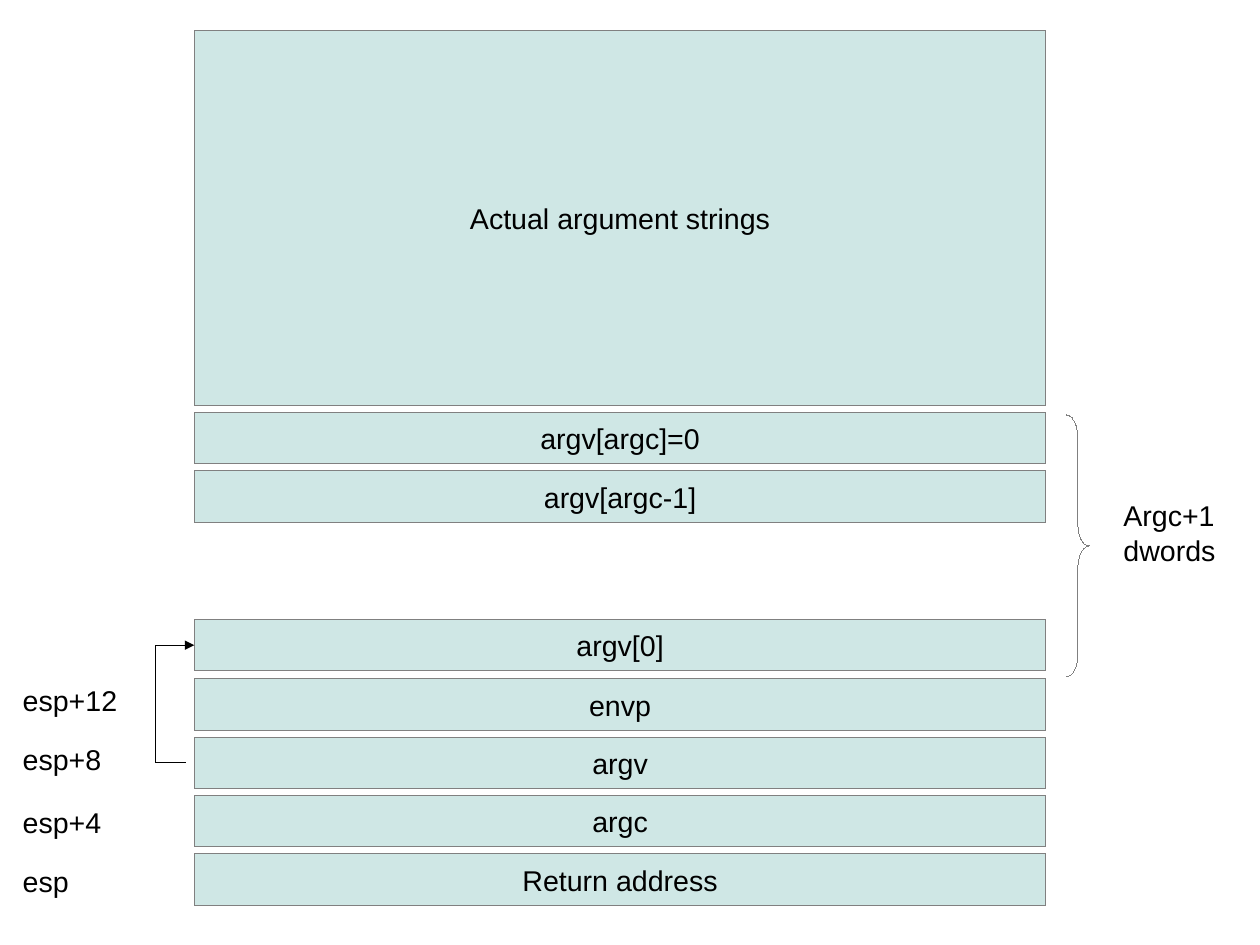
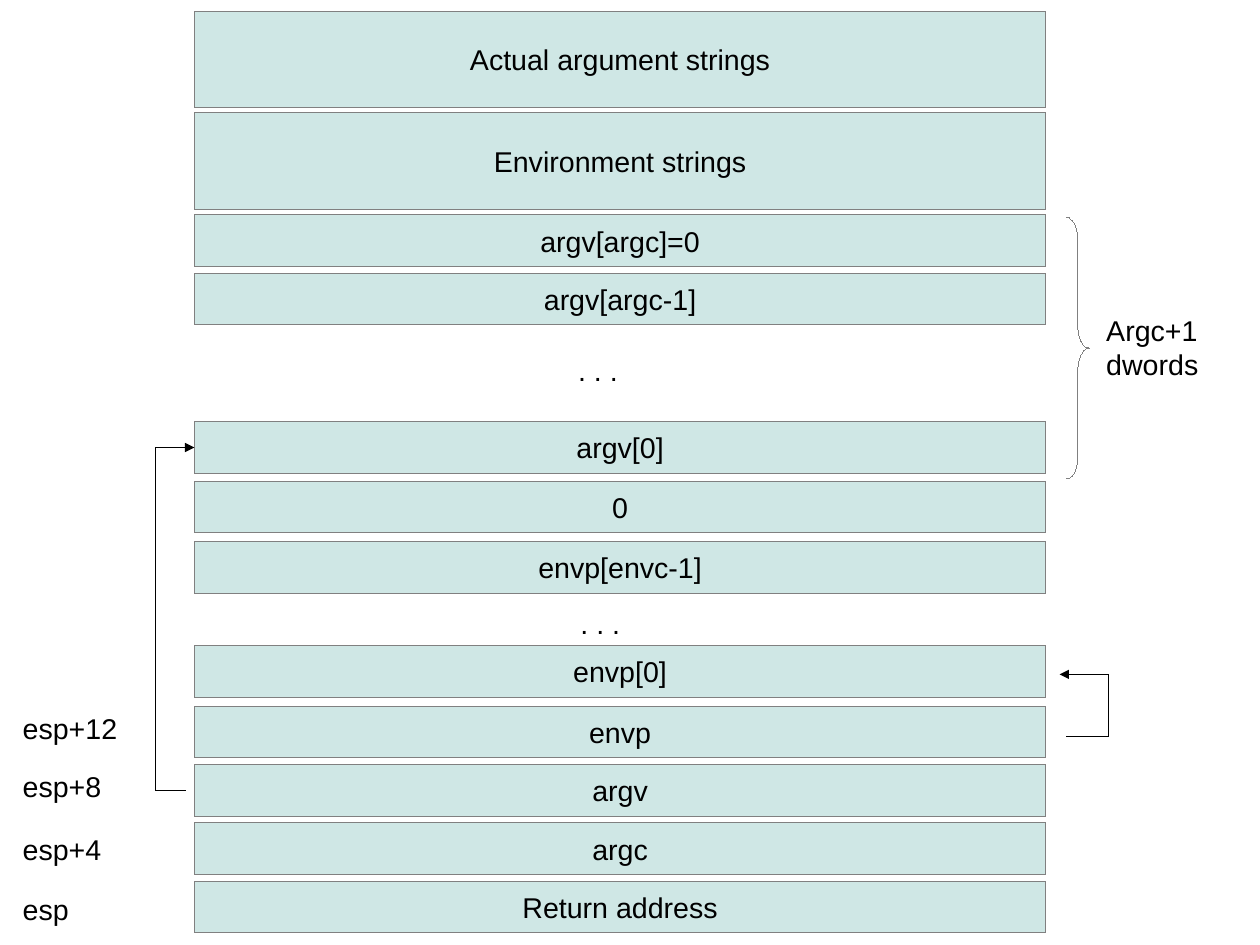
from lxml import etree
from pptx import Presentation
from pptx.dml.color import RGBColor
from pptx.enum.shapes import MSO_CONNECTOR, MSO_SHAPE
from pptx.enum.text import MSO_ANCHOR, MSO_AUTO_SIZE, PP_ALIGN
from pptx.oxml.ns import qn
from pptx.util import Cm, Inches, Pt

# Shared style
COLORS = {"band": "CFE7E5", "edge": "808080", "ink": "000000"}
FONT, SIZE = "Arial", Pt(18)

# Shared grid, in inches
BAND_LEFT, BAND_WIDTH, BAND_HEIGHT = 1.7, 7.45, 0.45
ROW = 0.51                      # distance between neighbouring bands
ARGV_SPAN = 1.81                # from argv[argc]=0 down to argv[0]
BRACE_LEFT, BRACE_WIDTH, BRACE_HEIGHT = 9.33, 0.2, 2.29

FRAME = ["Return address", "argc", "argv", "envp"]            # bottom to top
REGISTERS = [("esp", 0.04), ("esp+4", 0.03), ("esp+8", -0.01), ("esp+12", -0.01)]


def color(name):
    return RGBColor.from_string(COLORS[name])


def write(frame, text):
    frame.text = text
    for para in frame.paragraphs:
        for span in para.runs:
            span.font.name, span.font.size = FONT, SIZE
            span.font.color.rgb = color("ink")


def outline(shape, name):
    """Hairline; an explicit zero width overrides the theme's line width."""
    shape.line.color.rgb = color(name)
    stroke = shape._element.spPr.find(qn("a:ln"))
    stroke.set("w", "0")
    return stroke


def add_band(page, text, top, height=BAND_HEIGHT):
    band = page.shapes.add_shape(MSO_SHAPE.RECTANGLE, Inches(BAND_LEFT), Inches(top),
                                 Inches(BAND_WIDTH), Inches(height))
    band.shadow.inherit = False
    band.fill.solid()
    band.fill.fore_color.rgb = color("band")
    outline(band, "edge")
    frame = band.text_frame
    frame.word_wrap = False
    frame.vertical_anchor = MSO_ANCHOR.MIDDLE
    write(frame, text)
    frame.paragraphs[0].alignment = PP_ALIGN.CENTER
    return band


def add_label(page, text, left, top, width=1.25, height=0.38):
    box = page.shapes.add_textbox(Inches(left), Inches(top), Inches(width), Inches(height))
    box.text_frame.word_wrap = True
    box.text_frame.auto_size = MSO_AUTO_SIZE.SHAPE_TO_FIT_TEXT
    write(box.text_frame, text)


def add_brace(page, top):
    brace = page.shapes.add_shape(MSO_SHAPE.RIGHT_BRACE, Inches(BRACE_LEFT), Inches(top),
                                  Inches(BRACE_WIDTH), Inches(BRACE_HEIGHT))
    brace.shadow.inherit = False
    brace.fill.background()
    brace.adjustments[0] = 0.95
    outline(brace, "edge")


def add_pointer(page, start, bend, end, target=None):
    """Three-part line from start (x, y) by way of x = bend to an arrowhead at end."""
    corners = [start, (bend, start[1]), (bend, end[1]), end]
    for (x1, y1), (x2, y2) in zip(corners, corners[1:]):
        line = page.shapes.add_connector(MSO_CONNECTOR.STRAIGHT, Inches(x1), Inches(y1),
                                         Inches(x2), Inches(y2))
        stroke = outline(line, "ink")
        etree.SubElement(line._element.spPr, qn("a:effectLst"))
    # The last part carries the arrowhead
    etree.SubElement(stroke, qn("a:tailEnd"), type="triangle")
    if target is not None:
        line.end_connect(target, 1)


def add_stack(page, base, argv_top, label_left, label_top):
    """Call frame from base upwards, the argv array and its pointer."""
    for row, (text, (register, shift)) in enumerate(zip(FRAME, REGISTERS)):
        top = base - row * ROW
        add_band(page, text, top)
        add_label(page, register, 0.1, top + shift)

    # Argument array with its size
    add_band(page, "argv[argc]=0", argv_top)
    add_band(page, "argv[argc-1]", argv_top + ROW)
    first = add_band(page, "argv[0]", argv_top + ARGV_SPAN)
    add_brace(page, argv_top + 0.02)
    add_label(page, "Argc+1\ndwords", label_left, label_top, height=0.66)

    # argv points at argv[0]
    middle = BAND_HEIGHT / 2
    argv_row = base - FRAME.index("argv") * ROW
    add_pointer(page, (1.62, argv_row + middle), 1.36,
                (BAND_LEFT, argv_top + ARGV_SPAN + middle), first)


def build_arguments(page):
    add_stack(page, 7.47, 3.61, 9.73, 4.31)
    add_band(page, "Actual argument strings", 0.27, 3.28)


def build_environment(page):
    add_stack(page, 7.71, 1.88, 9.58, 2.69)
    for text, top, height in [("Actual argument strings", 0.1, 0.84),
                              ("Environment strings", 0.98, 0.85),
                              ("0", 4.21, BAND_HEIGHT),
                              ("envp[envc-1]", 4.74, BAND_HEIGHT),
                              ("envp[0]", 5.65, BAND_HEIGHT)]:
        add_band(page, text, top, height)
    for left, top in [(4.96, 3.04), (4.98, 5.25)]:
        add_label(page, ". . .", left, top, 1.12)
    # envp points at envp[0]
    add_pointer(page, (9.33, 6.44), 9.7, (9.27, 5.9))


def main():
    deck = Presentation()
    deck.slide_width = Cm(28)
    deck.slide_height = Cm(21)
    for build in (build_arguments, build_environment):
        build(deck.slides.add_slide(deck.slide_layouts[6]))
    deck.save("out.pptx")


if __name__ == "__main__":
    main()
